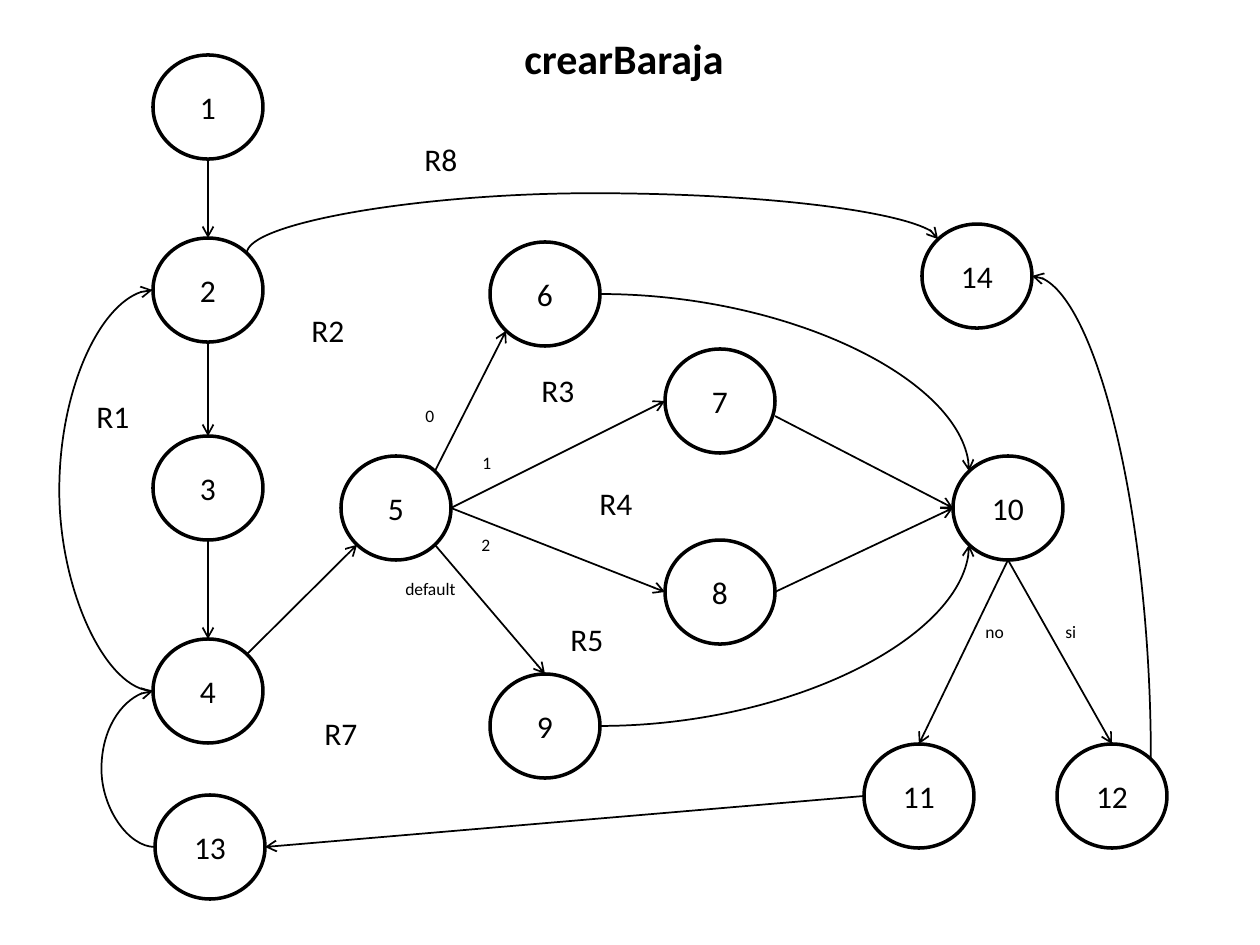
from math import cos, pi, sin
from lxml.etree import SubElement
from pptx import Presentation
from pptx.dml.color import RGBColor
from pptx.enum.shapes import MSO_CONNECTOR, MSO_SHAPE
from pptx.enum.text import MSO_ANCHOR, MSO_AUTO_SIZE, PP_ALIGN
from pptx.oxml.ns import qn
from pptx.util import Pt

SCALE = 914400 / 126
BLACK = "000000"
NODE_WIDTH, NODE_HEIGHT = 110, 104
TOP, TOP_LEFT, LEFT, BOTTOM_LEFT, BOTTOM, BOTTOM_RIGHT, RIGHT, TOP_RIGHT = range(8)

TITLE = ("crearBaraja", 132, 26, 984, 64)
NODES = {
    1: (153, 55), 2: (153, 238), 3: (153, 436), 4: (153, 639), 5: (341, 456),
    6: (490, 242), 7: (665, 349), 8: (665, 540), 9: (490, 674), 10: (953, 456),
    11: (864, 744), 12: (1057, 744), 13: (155, 795), 14: (922, 224),
}
STRAIGHT_ARROWS = [
    (1, BOTTOM, 2, TOP), (2, BOTTOM, 3, TOP), (3, BOTTOM, 4, TOP),
    (4, TOP_RIGHT, 5, BOTTOM_LEFT), (5, TOP_RIGHT, 6, BOTTOM_LEFT),
    (5, RIGHT, 7, LEFT), (5, RIGHT, 8, LEFT), (5, BOTTOM_RIGHT, 9, TOP),
    (7, (775, 416), 10, LEFT), (8, RIGHT, 10, LEFT),
    (10, BOTTOM, 11, TOP), (10, BOTTOM, 12, TOP), (11, LEFT, 13, RIGHT),
]
CURVED_ARROWS = [
    (6, RIGHT, 10, TOP_LEFT, 0, None), (9, RIGHT, 10, BOTTOM_LEFT, 0, None),
    (13, LEFT, 4, LEFT, 180, 54), (4, LEFT, 2, LEFT, 180, 95),
    (2, TOP_RIGHT, 14, TOP_LEFT, 90, 60), (12, TOP_RIGHT, 14, RIGHT, 270, None),
]
REGIONS = [
    ("R1", 84, 391), ("R2", 299, 305), ("R3", 529, 365), ("R4", 587, 478),
    ("R5", 558, 614), ("R7", 312, 708), ("R8", 412, 134),
]
BRANCHES = [
    ("0", 413, 399, 34), ("1", 470, 446, 34), ("2", 469, 528, 34),
    ("default", 393, 572, 77), ("si", 1053, 615, 37), ("no", 973, 615, 44),
]


def emu(*pixels):
    """Turn picture pixels into EMU."""
    return [round(value * SCALE) for value in pixels]


def color(value):
    """Turn a hex string into a colour."""
    return RGBColor.from_string(value)


def write(shape, text, size=18, bold=False, align=PP_ALIGN.LEFT,
          anchor=MSO_ANCHOR.TOP, wrap=True, grow=False):
    """Put formatted text into a shape."""
    frame = shape.text_frame
    frame.word_wrap = wrap
    frame.vertical_anchor = anchor
    frame.auto_size = MSO_AUTO_SIZE.SHAPE_TO_FIT_TEXT if grow else MSO_AUTO_SIZE.NONE
    paragraph = frame.paragraphs[0]
    paragraph.alignment = align
    run = paragraph.add_run()
    run.text = text
    run.font.name = "Calibri"
    run.font.size = Pt(size)
    run.font.bold = bold
    run.font.color.rgb = color(BLACK)


def add_node(number, left, top):
    """Draw one numbered circle."""
    shape = slide.shapes.add_shape(
        MSO_SHAPE.OVAL, *emu(left, top, NODE_WIDTH, NODE_HEIGHT))
    shape.shadow.inherit = False
    shape.fill.background()
    shape.line.color.rgb = color(BLACK)
    shape.line.width = Pt(2)
    write(shape, str(number), align=PP_ALIGN.CENTER, anchor=MSO_ANCHOR.MIDDLE)
    return shape


def add_label(text, left, top, width, height, size):
    """Place one unwrapped label."""
    box = slide.shapes.add_textbox(*emu(left, top, width, height))
    write(box, text, size=size, wrap=False, grow=True)


def site_point(node, site):
    """Find a connection site on a circle, or pass a free point through."""
    if isinstance(site, tuple):
        return site
    left, top = NODES[node]
    angle = site * pi / 4
    return (left + NODE_WIDTH / 2 * (1 - sin(angle)),
            top + NODE_HEIGHT / 2 * (1 - cos(angle)))


def add_arrow(source, source_site, target, target_site,
              kind=MSO_CONNECTOR.STRAIGHT, rotation=0, bulge=None):
    """Join two circles with an arrow, turned and bent as asked."""
    x1, y1 = site_point(source, source_site)
    x2, y2 = site_point(target, target_site)
    dx, dy = x2 - x1, y2 - y1
    run, rise = {0: (dx, dy), 90: (dy, -dx), 180: (-dx, -dy), 270: (-dy, dx)}[rotation]
    if bulge and abs(run) < 1:
        run = 1
    x, y = (x1 + x2) / 2, (y1 + y2) / 2
    connector = slide.shapes.add_connector(
        kind, *emu(x - run / 2, y - rise / 2, x + run / 2, y + rise / 2))
    connector.line.color.rgb = color(BLACK)
    connector.line.width = Pt(1)
    element = connector._element
    properties = element.spPr
    SubElement(properties.find(qn("a:ln")), qn("a:tailEnd"), type="arrow")
    SubElement(properties, qn("a:effectLst"))
    if rotation:
        properties.find(qn("a:xfrm")).set("rot", str(rotation * 60000))
    if kind == MSO_CONNECTOR.CURVE:
        geometry = properties.find(qn("a:prstGeom"))
        geometry.set("prst", "curvedConnector3" if bulge else "curvedConnector2")
        if bulge:
            SubElement(geometry.find(qn("a:avLst")), qn("a:gd"), name="adj1",
                       fmla=f"val {round(bulge / abs(run) * 100000)}")
    joints = element.find(".//" + qn("p:cNvCxnSpPr"))
    for tag, node, site in (("a:stCxn", source, source_site),
                            ("a:endCxn", target, target_site)):
        if not isinstance(site, tuple):
            SubElement(joints, qn(tag), id=str(circles[node].shape_id), idx=str(site))


presentation = Presentation()
presentation.slide_width, presentation.slide_height = emu(1260, 945)
slide = presentation.slides.add_slide(presentation.slide_layouts[5])

title = slide.shapes.title
title.left, title.top, title.width, title.height = emu(*TITLE[1:])
write(title, TITLE[0], size=24, bold=True, align=PP_ALIGN.CENTER, grow=True)

circles = {number: add_node(number, *place) for number, place in NODES.items()}
for arrow in STRAIGHT_ARROWS:
    add_arrow(*arrow)
for *ends, rotation, bulge in CURVED_ARROWS:
    add_arrow(*ends, kind=MSO_CONNECTOR.CURVE, rotation=rotation, bulge=bulge)
for text, left, top in REGIONS:
    add_label(text, left, top, 59, 51, 18)
for text, left, top, width in BRANCHES:
    add_label(text, left, top, width, 34, 10)

presentation.save("out.pptx")
